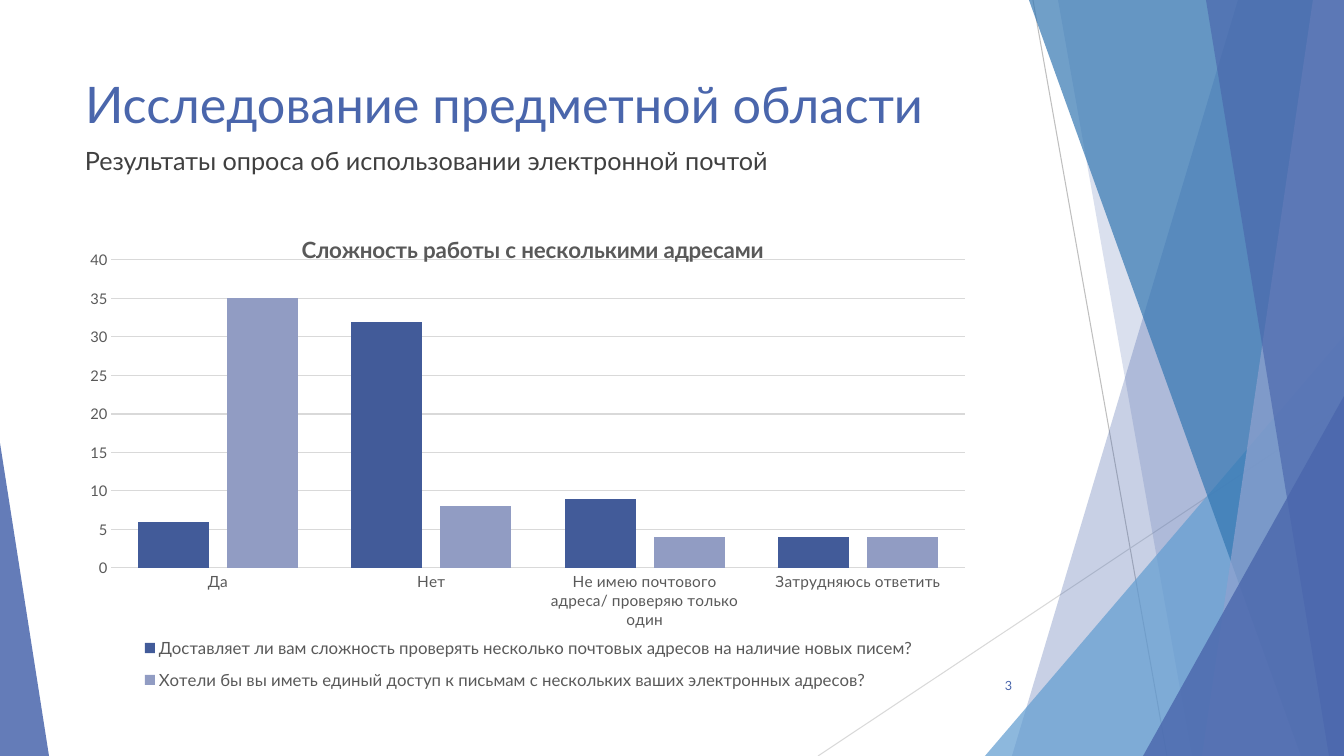
from lxml import etree
from pptx import Presentation
from pptx.chart.data import CategoryChartData
from pptx.dml.color import RGBColor
from pptx.enum.chart import XL_CHART_TYPE as ChartType
from pptx.enum.chart import XL_LEGEND_POSITION as LegendPosition
from pptx.enum.chart import XL_TICK_MARK as TickMark
from pptx.enum.shapes import MSO_CONNECTOR as Connector
from pptx.enum.shapes import MSO_SHAPE as Shape
from pptx.enum.text import MSO_ANCHOR as Anchor
from pptx.enum.text import MSO_AUTO_SIZE as AutoSize
from pptx.enum.text import PP_ALIGN as Align
from pptx.oxml import parse_xml
from pptx.oxml.ns import nsdecls, qn
from pptx.util import Pt

PX = 914400 / 100.8
WIDTH, HEIGHT = 1344, 756
FONT = "Lato"
COLORS = {
    "blue": "4A66AC", "sky": "629DD1", "ocean": "3477B2", "mist": "90A2CF",
    "text": "404040", "chart_text": "595959", "grid": "D9D9D9", "line": "BFBFBF",
    "difficulty": "425B99", "access": "919CC3",
}


def px(*lengths):
    return [round(length * PX) for length in lengths]


def rgb(name):
    return RGBColor.from_string(COLORS[name])


def style_font(font, size, color, bold=False):
    font.name, font.size, font.bold = FONT, Pt(size), bold
    font.color.rgb = rgb(color)


def fill_shape(shape, color, opacity):
    shape.shadow.inherit = False
    shape.line.fill.background()
    shape.fill.solid()
    shape.fill.fore_color.rgb = rgb(color)
    tint = shape.fill._xPr.find(qn("a:solidFill"))[0]
    etree.SubElement(tint, qn("a:alpha")).set("val", str(opacity * 1000))


def write(shape, text, size, color, anchor=Anchor.TOP, align=Align.LEFT):
    frame = shape.text_frame
    frame.text = text
    frame.word_wrap, frame.auto_size = True, AutoSize.NONE
    frame.vertical_anchor = anchor
    para = frame.paragraphs[0]
    para.alignment = align
    style_font(para.runs[0].font, size, color)


def add_line(slide, start, end, color):
    line = slide.shapes.add_connector(Connector.STRAIGHT, *px(*start, *end))
    line.line.color.rgb = rgb(color)
    line.line.width = Pt(0.75)
    etree.SubElement(line._element.spPr, qn("a:effectLst"))


def add_band(slide, top_x, bottom_x, color, opacity):
    """A band from a slanted left edge to the right edge of the slide."""
    builder = slide.shapes.build_freeform(*px(top_x, 0))
    corners = [(WIDTH, 0), (WIDTH, HEIGHT), (bottom_x, HEIGHT)]
    builder.add_line_segments([px(*corner) for corner in corners], close=True)
    fill_shape(builder.convert_to_shape(), color, opacity)


def add_corner(slide, left, top, width, apex, color, opacity):
    """A right triangle standing on the bottom edge of the slide."""
    box = px(left, top, width, HEIGHT - top)
    triangle = slide.shapes.add_shape(Shape.ISOSCELES_TRIANGLE, *box)
    triangle.adjustments[0] = apex
    fill_shape(triangle, color, opacity)


def add_decoration(slide):
    add_line(slide, (1033, 0), (1167, HEIGHT), "line")
    add_line(slide, (WIDTH, 406), (818, HEIGHT), "grid")
    add_band(slide, 1238, 1012, "blue", 30)
    add_band(slide, 1058, 1192, "blue", 20)
    add_corner(slide, 985, 336, 359, 1, "sky", 72)
    add_band(slide, 1029, 1301, "ocean", 70)
    add_band(slide, 1313, 1202, "mist", 70)
    add_band(slide, 1206, 1329, "blue", 65)
    add_corner(slide, 1143, 396, 201, 1, "blue", 80)
    add_corner(slide, 0, 443, 49, 0, "blue", 85)


def add_heading(slide, left, top, width):
    title = slide.shapes.title
    title.left, title.top, title.width, title.height = px(left, top, width, 145)
    write(title, "Исследование предметной области", 36, "blue")
    subtitle = slide.shapes.add_textbox(*px(left, top + 72, width, 47))
    write(subtitle, "Результаты опроса об использовании электронной почтой", 18, "text")


def place(part, inner=False, **fractions):
    """Give a chart part a fixed place, in fractions of the chart."""
    values = "".join(f'<c:{key} val="{value}"/>' for key, value in fractions.items())
    target = '<c:layoutTarget val="inner"/>' if inner else ""
    modes = '<c:xMode val="edge"/><c:yMode val="edge"/>'
    layout = parse_xml(f'<c:layout {nsdecls("c")}><c:manualLayout>{target}{modes}'
                       f'{values}</c:manualLayout></c:layout>')
    for old in part.findall(qn("c:layout")):
        part.remove(old)
    before = [child for child in part
              if child.tag in (qn("c:tx"), qn("c:legendPos"), qn("c:legendEntry"))]
    part.insert(len(before), layout)


def add_survey_chart(slide, *box):
    data = CategoryChartData()
    data.categories = ["Да", "Нет", "Не имею почтового адреса/ проверяю только один",
                       "Затрудняюсь ответить"]
    data.add_series("Доставляет ли вам сложность проверять несколько почтовых адресов "
                    "на наличие новых писем?", (6, 32, 9, 4))
    data.add_series("Хотели бы вы иметь единый доступ к письмам с нескольких ваших "
                    "электронных адресов?", (35, 8, 4, 4))
    chart = slide.shapes.add_chart(ChartType.COLUMN_CLUSTERED, *px(*box), data).chart
    style_font(chart.font, 10, "chart_text")

    # Title
    chart.has_title = True
    frame = chart.chart_title.text_frame
    frame.text = "Сложность работы с несколькими адресами"
    style_font(frame.paragraphs[0].runs[0].font, 16, "chart_text", bold=True)
    place(chart.chart_title._element, x=0.245, y=0.045)

    # Columns
    plot = chart.plots[0]
    plot.gap_width, plot.overlap, plot.vary_by_categories = 75, -25, False
    for series, color in zip(plot.series, ("difficulty", "access")):
        series.format.fill.solid()
        series.format.fill.fore_color.rgb = rgb(color)
    place(chart._chartSpace.chart.plotArea, inner=True, x=0.04, y=0.105, w=0.94, h=0.61)

    # Axes
    values, categories = chart.value_axis, chart.category_axis
    for axis, size in ((values, 10.5), (categories, 11)):
        axis.major_tick_mark = axis.minor_tick_mark = TickMark.NONE
        style_font(axis.tick_labels.font, size, "chart_text")
    values.minimum_scale, values.maximum_scale, values.major_unit = 0, 40, 5
    values.format.line.fill.background()
    for part in (values.major_gridlines, categories):
        part.format.line.color.rgb = rgb("grid")
        part.format.line.width = Pt(0.75)

    # Legend
    chart.has_legend = True
    chart.legend.position = LegendPosition.BOTTOM
    chart.legend.include_in_layout = False
    style_font(chart.legend.font, 12, "chart_text")
    place(chart.legend._element, x=0.07, y=0.83, w=0.86, h=0.15)


def add_page_number(slide, *box):
    number = slide.shapes.add_textbox(*px(*box))
    write(number, "3", 9, "blue", Anchor.MIDDLE, Align.RIGHT)


def main():
    deck = Presentation()
    deck.slide_width, deck.slide_height = px(WIDTH, HEIGHT)
    slide = deck.slides.add_slide(deck.slide_layouts[5])
    add_decoration(slide)
    add_heading(slide, 75, 68, 948)
    add_survey_chart(slide, 75, 207, 908, 505)
    add_page_number(slide, 946, 666, 76, 40)
    deck.save("out.pptx")


if __name__ == "__main__":
    main()
